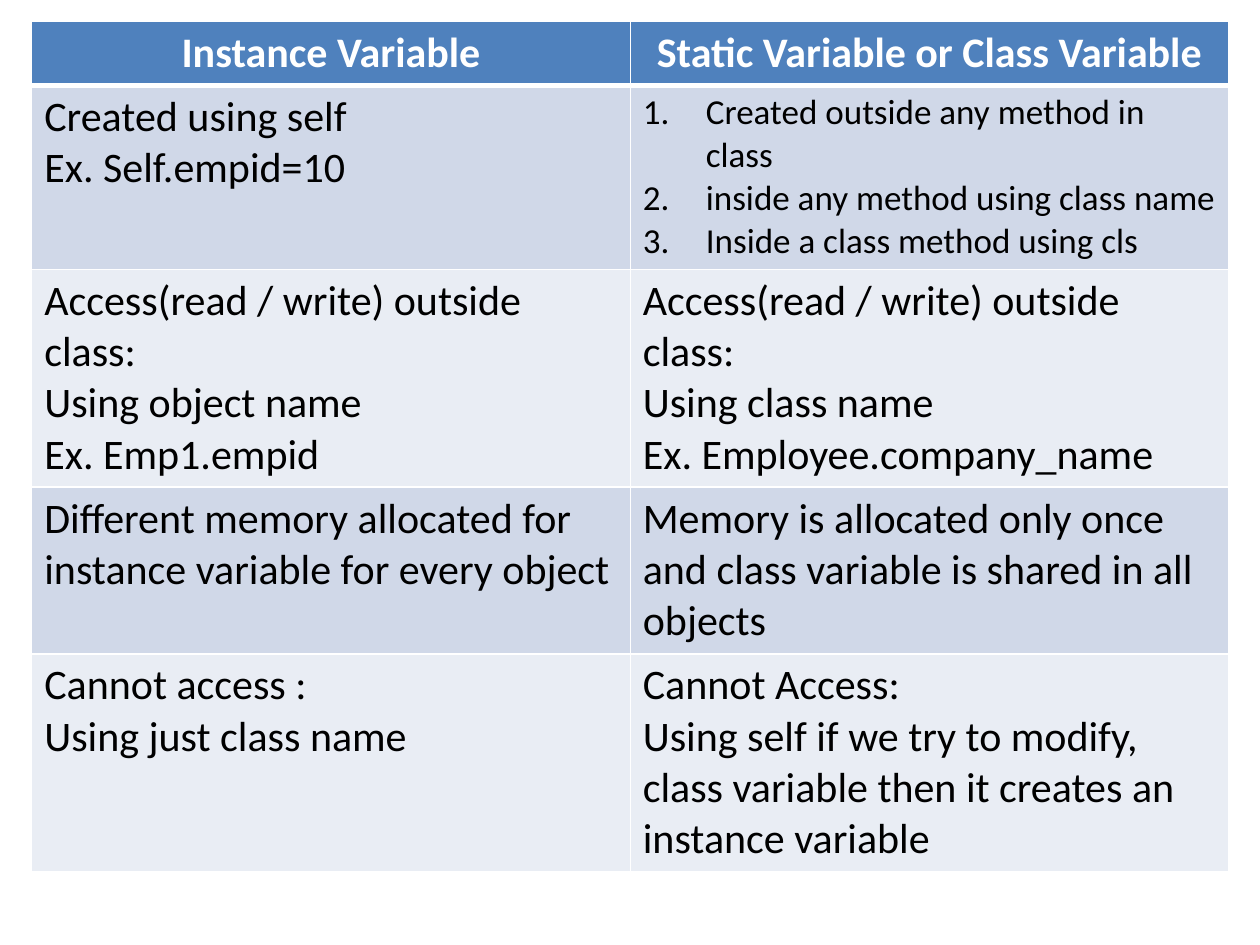
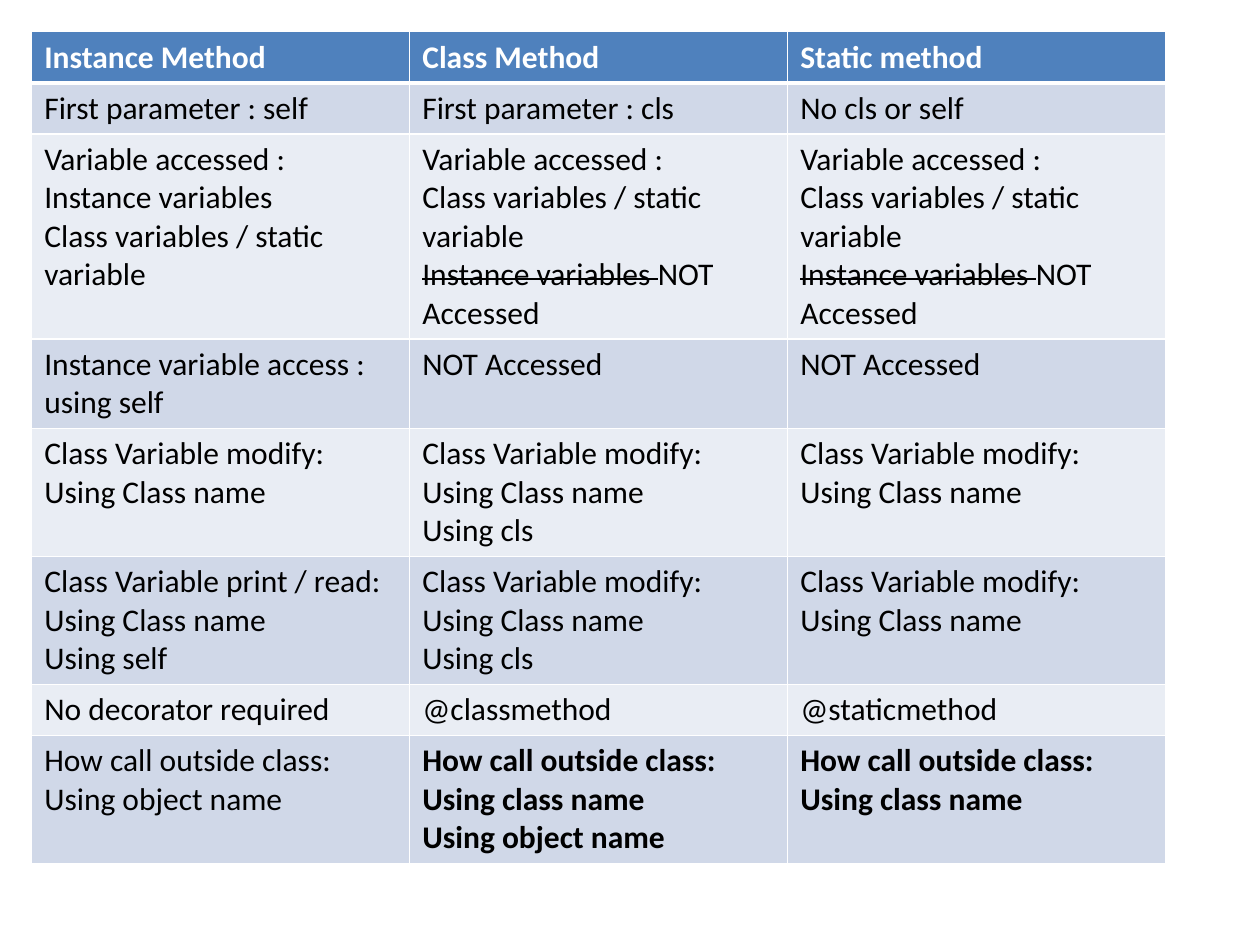
from dataclasses import dataclass

from lxml import etree
from pptx import Presentation
from pptx.dml.color import RGBColor
from pptx.enum.text import PP_ALIGN
from pptx.oxml.ns import qn
from pptx.util import Cm, Pt

CENTER, LEFT = PP_ALIGN.CENTER, PP_ALIGN.LEFT
FONT = "Calibri"
HEADER_BLUE = RGBColor(0x4F, 0x81, 0xBD)
BAND_DARK = RGBColor(0xD0, 0xD8, 0xE8)
BAND_LIGHT = RGBColor(0xE9, 0xED, 0xF4)
WHITE = RGBColor(0xFF, 0xFF, 0xFF)
BLACK = RGBColor(0x00, 0x00, 0x00)
BORDER, HEADER_BORDER = Pt(1), Pt(3)
NUMBER_INDENT = Cm(1.27)


@dataclass
class Cell:
    """Lines of a cell; a line is a string or a (struck, plain) pair."""
    lines: tuple
    size: int = 0
    bold: bool = False
    numbered: bool = False


VARIABLE_ROWS = [
    [Cell(("Instance Variable",)), Cell(("Static Variable or Class Variable",))],
    [Cell(("Created using self", "Ex. Self.empid=10")),
     Cell(("Created outside any method in class",
           "inside any method using class name",
           "Inside a class method using cls"), size=20, numbered=True)],
    [Cell(("Access(read / write) outside class:", "Using object name",
           "Ex. Emp1.empid")),
     Cell(("Access(read / write) outside class:", "Using class name",
           "Ex. Employee.company_name"))],
    [Cell(("Different memory allocated for instance variable for every object",)),
     Cell(("Memory is allocated only once and class variable is shared in all objects",))],
    [Cell(("Cannot access :", "Using just class name")),
     Cell(("Cannot Access:",
           "Using self if we try to modify, class variable then it creates an "
           "instance variable"))],
]
VARIABLE_HEIGHTS = [1.25, 3.7, 4.39, 3.36, 4.37]

NOT_ACCESSED = Cell(("NOT Accessed",))
CLASS_ACCESS = Cell(("Variable accessed :", "Class variables / static variable",
                     ("Instance variables ", "NOT Accessed")))
MODIFY_BY_NAME = Cell(("Class Variable modify:", "Using Class name"))
MODIFY_BY_CLS = Cell(MODIFY_BY_NAME.lines + ("Using cls",))

METHOD_ROWS = [
    [Cell(("Instance Method",)), Cell(("Class Method",)), Cell(("Static method",))],
    [Cell(("First parameter : self",)), Cell(("First parameter : cls",)),
     Cell(("No cls or self",))],
    [Cell(("Variable accessed :", "Instance variables",
           "Class variables / static variable")), CLASS_ACCESS, CLASS_ACCESS],
    [Cell(("Instance variable access : using self",)), NOT_ACCESSED, NOT_ACCESSED],
    [MODIFY_BY_NAME, MODIFY_BY_CLS, MODIFY_BY_NAME],
    [Cell(("Class Variable print / read:", "Using Class name", "Using self")),
     MODIFY_BY_CLS, MODIFY_BY_NAME],
    [Cell(("No decorator required",)), Cell(("@classmethod",)), Cell(("@staticmethod",))],
    [Cell(("How call outside class:", "Using object name")),
     Cell(("How call outside class:", "Using class name", "Using object name"), bold=True),
     Cell(("How call outside class:", "Using class name"), bold=True)],
]
METHOD_HEIGHTS = [1.03, 1.03, 4.13, 1.8, 2.58, 2.58, 1.03, 2.58]


def set_borders(table_cell, row_index):
    """Draw white cell borders, thicker where the header meets the body."""
    properties = table_cell._tc.get_or_add_tcPr()
    widths = {"lnL": BORDER, "lnR": BORDER,
              "lnT": HEADER_BORDER if row_index == 1 else BORDER,
              "lnB": HEADER_BORDER if row_index == 0 else BORDER}
    for tag, width in widths.items():
        line = etree.SubElement(properties, qn(f"a:{tag}"), w=str(width))
        fill = etree.SubElement(line, qn("a:solidFill"))
        etree.SubElement(fill, qn("a:srgbClr"), val=str(WHITE))


def number_paragraph(paragraph):
    """Give a paragraph an automatic number and a hanging indent."""
    properties = paragraph._p.get_or_add_pPr()
    properties.set("marL", str(NUMBER_INDENT))
    properties.set("indent", str(-NUMBER_INDENT))
    etree.SubElement(properties, qn("a:buFont"), typeface="+mj-lt")
    etree.SubElement(properties, qn("a:buAutoNum"), type="arabicPeriod")


def add_run(paragraph, text, size, bold, color, struck):
    """Add one formatted run."""
    run = paragraph.add_run()
    run.text = text
    run.font.name = FONT
    run.font.size = Pt(size)
    run.font.bold = bold
    run.font.color.rgb = color
    if struck:
        run._r.get_or_add_rPr().set("strike", "sngStrike")


def write_cell(table_cell, cell, size, is_header, alignment):
    """Write the lines of a cell as paragraphs."""
    frame = table_cell.text_frame
    for index, line in enumerate(cell.lines):
        paragraph = frame.add_paragraph() if index else frame.paragraphs[0]
        paragraph.alignment = alignment
        if cell.numbered:
            number_paragraph(paragraph)
        struck, plain = ("", line) if isinstance(line, str) else line
        for text in filter(None, (struck, plain)):
            add_run(paragraph, text, cell.size or size, is_header or cell.bold,
                    WHITE if is_header else BLACK, text == struck)


def add_comparison(presentation, rows, heights, box, size, header_alignment):
    """Add a slide holding a banded comparison table in the given box."""
    slide = presentation.slides.add_slide(presentation.slide_layouts[6])
    left, top, width = box
    table = slide.shapes.add_table(len(rows), len(rows[0]), Cm(left), Cm(top),
                                   Cm(width), Cm(sum(heights))).table
    table.horz_banding = False
    for row_index, (cells, height) in enumerate(zip(rows, heights)):
        table.rows[row_index].height = Cm(height)
        is_header = row_index == 0
        band = BAND_DARK if row_index % 2 else BAND_LIGHT
        for column_index, cell in enumerate(cells):
            table_cell = table.cell(row_index, column_index)
            set_borders(table_cell, row_index)
            table_cell.fill.solid()
            table_cell.fill.fore_color.rgb = HEADER_BLUE if is_header else band
            write_cell(table_cell, cell, size, is_header,
                       header_alignment if is_header else LEFT)


def main():
    """Build both comparison slides and save them."""
    presentation = Presentation()
    presentation.slide_width, presentation.slide_height = Cm(25.4), Cm(19.05)
    add_comparison(presentation, VARIABLE_ROWS, VARIABLE_HEIGHTS,
                   (0.64, 0.43, 24.13), 24, CENTER)
    add_comparison(presentation, METHOD_ROWS, METHOD_HEIGHTS,
                   (0.64, 0.64, 22.86), 18, LEFT)
    presentation.save("out.pptx")


if __name__ == "__main__":
    main()
